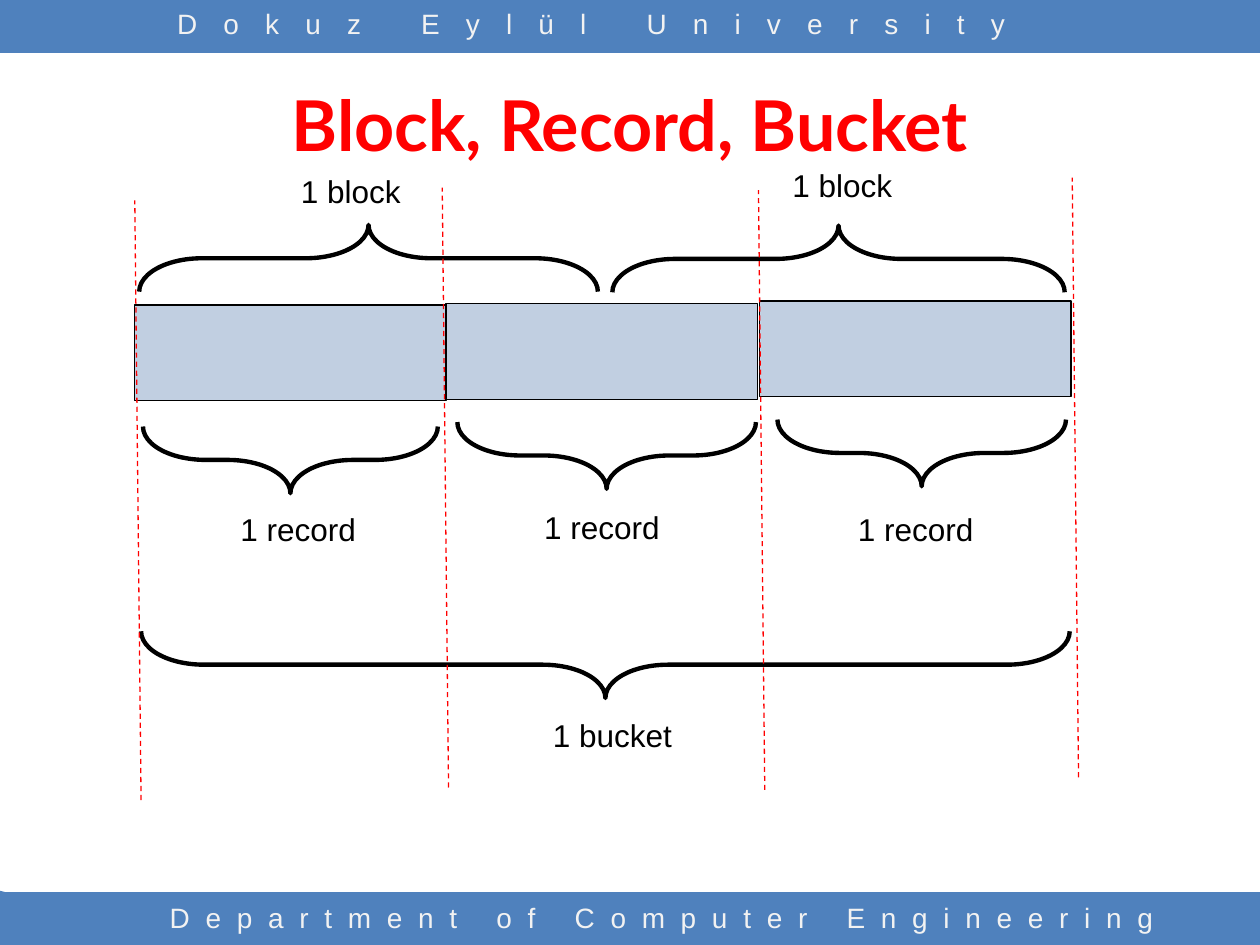
from dataclasses import dataclass
from lxml import etree
from pptx import Presentation
from pptx import util as u
from pptx.dml.color import RGBColor
from pptx.enum import dml, shapes, text
from pptx.oxml.ns import qn


@dataclass(frozen=True)
class Theme:
    band: RGBColor = RGBColor(0x4F, 0x81, 0xBD)
    band_text: RGBColor = RGBColor(0xF2, 0xF2, 0xF2)
    record: RGBColor = RGBColor(0x34, 0x63, 0x9C)
    accent: RGBColor = RGBColor(0xFF, 0x00, 0x00)
    ink: RGBColor = RGBColor(0x00, 0x00, 0x00)
    body_font: str = "Arial"
    title_font: str = "Lato"
    band_size: int = 16
    title_size: int = 40
    label_size: int = 18


theme = Theme()
PX = 9144

presentation = Presentation()
presentation.slide_width = 1000 * PX
presentation.slide_height = 750 * PX
slide = presentation.slides.add_slide(presentation.slide_layouts[6])


def add_shape(kind, left, top, width, height):
    shape = slide.shapes.add_shape(kind, left * PX, top * PX, width * PX, height * PX)
    shape.shadow.inherit = False
    return shape


def add_text(words, left, top, width, height, size, color, font=theme.body_font):
    box = slide.shapes.add_textbox(left * PX, top * PX, width * PX, height * PX)
    box.text_frame.text = words
    run = box.text_frame.paragraphs[0].runs[0]
    run.font.size = u.Pt(size)
    run.font.name = font
    run.font.color.rgb = color
    return box.text_frame


for top in (0, 708):
    band = add_shape(shapes.MSO_SHAPE.RECTANGLE, 0, top, 1000, 42)
    band.fill.solid()
    band.fill.fore_color.rgb = theme.band
    band.line.fill.background()

corners = [
    [(88, 709), (92, 709), (92, 750), (47, 750)],
    [(4, 708), (46, 750), (0, 750), (0, 707)],
]
for start, *others in corners:
    builder = slide.shapes.build_freeform(*start, scale=PX)
    builder.add_line_segments(others, close=True)
    corner = builder.convert_to_shape()
    corner.shadow.inherit = False
    corner.fill.solid()
    corner.fill.fore_color.rgb = theme.band
    corner.line.fill.background()

band_texts = [
    ("Department of Computer Engineering", 92, 710, 867, 40, 9),
    ("Dokuz Eylül University", 65, 0, 809, 42, 15),
]
for words, left, top, width, height, spacing in band_texts:
    frame = add_text(words, left, top, width, height, theme.band_size, theme.band_text)
    frame.word_wrap = True
    paragraph = frame.paragraphs[0]
    paragraph.alignment = text.PP_ALIGN.CENTER
    paragraph.runs[0].font._element.set("spc", str(spacing * 100))

title = add_text("Block, Record, Bucket", 50, 41, 900, 114,
                 theme.title_size, theme.accent, theme.title_font)
title.word_wrap = True
title.vertical_anchor = text.MSO_ANCHOR.MIDDLE
title.paragraphs[0].alignment = text.PP_ALIGN.CENTER
title.paragraphs[0].runs[0].font.bold = True

for left, top in [(354, 241), (107, 242), (603, 239)]:
    record = add_shape(shapes.MSO_SHAPE.RECTANGLE, left, top, 247, 76)
    record.fill.solid()
    record.fill.fore_color.rgb = theme.record
    color = record.fill._xPr.find(qn("a:solidFill"))[0]
    etree.SubElement(color, qn("a:alpha"), val="30000")
    record.line.color.rgb = theme.ink
    record.line.width = u.Pt(0.75)

BRACE_DEPTH = 53
braces = [
    (266, 23, 364, 90),
    (639, 26, 359, 90),
    (204, 248, 234, 270),
    (455, 243, 237, 270),
    (705, 245, 229, 270),
    (454, 159, 737, 270),
]
for left, top, span, rotation in braces:
    brace = add_shape(shapes.MSO_SHAPE.LEFT_BRACE, left, top, BRACE_DEPTH, span)
    brace.rotation = rotation
    brace.adjustments[0] = 0.94
    brace.adjustments[1] = 0.5
    brace.fill.background()
    brace.line.color.rgb = theme.ink
    brace.line.width = u.Pt(2.5)

for left, top in [(107, 159), (351, 149), (602, 151), (851, 141)]:
    divider = slide.shapes.add_connector(
        shapes.MSO_CONNECTOR.STRAIGHT,
        (left + 5) * PX, (top + 476) * PX, left * PX, top * PX)
    divider.line.color.rgb = theme.accent
    divider.line.width = u.Pt(0.75)
    divider.line.dash_style = dml.MSO_LINE.DASH
    etree.SubElement(divider._element.spPr, qn("a:effectLst"))

labels = [
    ("1 block", 229, 132, 100),
    ("1 block", 619, 127, 100),
    ("1 record", 181, 400, 113),
    ("1 record", 422, 398, 113),
    ("1 record", 671, 400, 113),
    ("1 bucket", 429, 563, 116),
]
for words, left, top, width in labels:
    frame = add_text(words, left, top, width, 40, theme.label_size, theme.ink)
    frame.word_wrap = False
    frame.auto_size = text.MSO_AUTO_SIZE.SHAPE_TO_FIT_TEXT

presentation.save("out.pptx")
